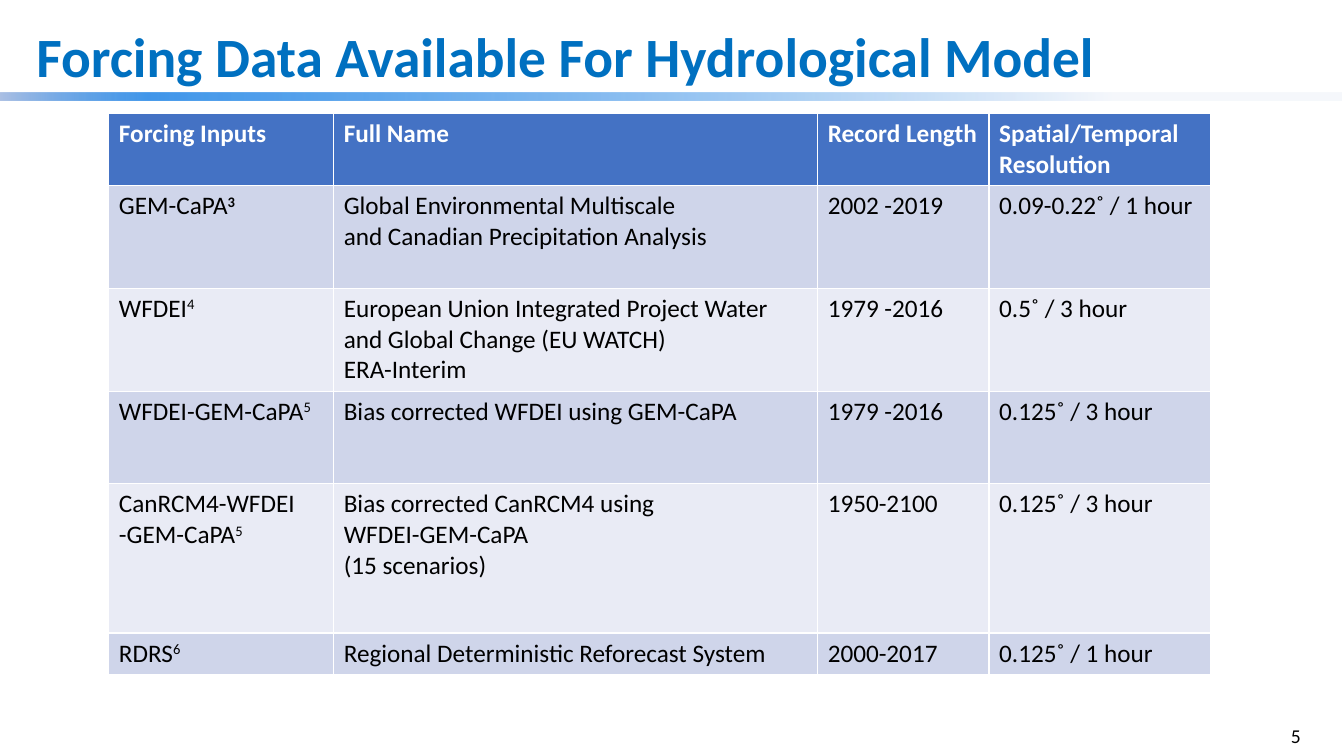
"""Build the slide that lists forcing data for a hydrological model."""
from dataclasses import dataclass

from lxml import etree
from pptx import Presentation
from pptx.dml.color import RGBColor
from pptx.enum.shapes import MSO_SHAPE
from pptx.enum.text import MSO_ANCHOR, MSO_AUTO_SIZE, PP_ALIGN
from pptx.oxml.ns import qn
from pptx.util import Inches, Pt

RECTANGLE = MSO_SHAPE.RECTANGLE
MIDDLE = MSO_ANCHOR.MIDDLE
NO_AUTOFIT = MSO_AUTO_SIZE.NONE
LEFT, RIGHT = PP_ALIGN.LEFT, PP_ALIGN.RIGHT


@dataclass(frozen=True)
class Theme:
    """Colours, font and type sizes of the slide."""
    font: str = "Calibri"
    title: str = "0070C0"
    header: str = "4472C4"
    bands: tuple = ("CFD5EA", "E9EBF5")
    light: str = "FFFFFF"
    dark: str = "000000"
    bar: tuple = ((17, "F6F8FC", 100), (89, "0073E3", 74),
                  (100, "ABC0E4", 100), (100, "C7D5ED", 100))
    title_size: float = 39.6
    table_size: float = 18
    number_size: float = 14


@dataclass(frozen=True)
class Forcing:
    """One data set; lines of a cell are split at line breaks."""
    name: str
    reference: str
    full_name: str
    record: str
    resolution: str
    height: float
    bold_reference: bool = False


THEME = Theme()
HEADINGS = ("Forcing Inputs", "Full Name", "Record Length", "Spatial/Temporal Resolution")
HEADER_HEIGHT = 0.7
COLUMN_WIDTHS = (2.23, 4.8, 1.7, 2.2)
FORCINGS = (
    Forcing("GEM-CaPA", "3",
            "Global Environmental Multiscale\nand Canadian Precipitation Analysis",
            "2002 -2019", "0.09-0.22˚ / 1 hour", 1.02, True),
    Forcing("WFDEI", "4",
            "European Union Integrated Project Water\n"
            "and Global Change (EU WATCH)\nERA-Interim",
            "1979 -2016", "0.5˚ / 3 hour", 1.02),
    Forcing("WFDEI-GEM-CaPA", "5", "Bias corrected WFDEI using GEM-CaPA",
            "1979 -2016", "0.125˚ / 3 hour", 0.92),
    Forcing("CanRCM4-WFDEI\n-GEM-CaPA", "5",
            "Bias corrected CanRCM4 using\nWFDEI-GEM-CaPA\n(15 scenarios)",
            "1950-2100", "0.125˚ / 3 hour", 1.48),
    Forcing("RDRS", "6", "Regional Deterministic Reforecast System",
            "2000-2017", "0.125˚ / 1 hour", 0.41),
)


def style_paragraph(para, size: float, color: str, bold: bool = False, align=LEFT) -> None:
    """Set the alignment and font of a paragraph."""
    para.alignment = align
    para.font.name = THEME.font
    para.font.size = Pt(size)
    para.font.bold = bold
    para.font.color.rgb = RGBColor.from_string(color)


def add_bar(page) -> None:
    """Draw the gradient bar under the title."""
    bar = page.shapes.add_shape(RECTANGLE, 0, Inches(0.92), Inches(13.31), Inches(0.08))
    bar.shadow.inherit = False
    bar.line.fill.background()
    bar.fill.gradient()
    bar.fill.gradient_angle = 180
    stops = bar._element.spPr.find(qn("a:gradFill")).find(qn("a:gsLst"))
    for stop in list(stops):
        stops.remove(stop)
    for position, color, opacity in THEME.bar:
        stop = etree.SubElement(stops, qn("a:gs"), pos=str(position * 1000))
        shade = etree.SubElement(stop, qn("a:srgbClr"), val=color)
        if opacity < 100:
            etree.SubElement(shade, qn("a:alpha"), val=str(opacity * 1000))


def add_title(page, text: str) -> None:
    """Move, fill and format the title placeholder."""
    title = page.shapes.title
    title.left, title.top = Inches(0.26), Inches(0.29)
    title.width, title.height = Inches(12.36), Inches(0.61)
    frame = title.text_frame
    frame.text = text
    frame.auto_size = NO_AUTOFIT
    frame.vertical_anchor = MIDDLE
    para = frame.paragraphs[0]
    para.line_spacing = 0.9
    style_paragraph(para, THEME.title_size, THEME.title, bold=True)


def fill_cell(cell, text: str, fill: str, color: str, bold: bool = False) -> None:
    """Write and colour one table cell."""
    cell.fill.solid()
    cell.fill.fore_color.rgb = RGBColor.from_string(fill)
    cell.text = text
    for para in cell.text_frame.paragraphs:
        style_paragraph(para, THEME.table_size, color, bold)


def add_reference(cell, forcing: Forcing) -> None:
    """Append the superscript reference number to a name."""
    span = cell.text_frame.paragraphs[-1].add_run()
    span.text = forcing.reference
    if forcing.bold_reference:
        span.font.bold = True
    span._r.get_or_add_rPr().set("baseline", "30000")


def add_forcing_table(page) -> None:
    """Add the table of forcing inputs."""
    heights = [HEADER_HEIGHT] + [forcing.height for forcing in FORCINGS]
    table = page.shapes.add_table(
        len(heights), len(HEADINGS), Inches(1.08), Inches(1.13),
        Inches(sum(COLUMN_WIDTHS)), Inches(sum(heights))).table
    for column, width in zip(table.columns, COLUMN_WIDTHS):
        column.width = Inches(width)
    for row, height in zip(table.rows, heights):
        row.height = Inches(height)
    for cell, heading in zip(table.rows[0].cells, HEADINGS):
        fill_cell(cell, heading, THEME.header, THEME.light, bold=True)
    for index, forcing in enumerate(FORCINGS):
        texts = (forcing.name, forcing.full_name, forcing.record, forcing.resolution)
        band = THEME.bands[index % len(THEME.bands)]
        for cell, text in zip(table.rows[index + 1].cells, texts):
            fill_cell(cell, text, band, THEME.dark)
        add_reference(table.cell(index + 1, 0), forcing)


def add_page_number(page, number: str) -> None:
    """Write the page number at the lower right."""
    box = page.shapes.add_textbox(Inches(10), Inches(7.1), Inches(3), Inches(0.4))
    frame = box.text_frame
    frame.word_wrap = True
    frame.vertical_anchor = MIDDLE
    frame.text = number
    style_paragraph(frame.paragraphs[0], THEME.number_size, THEME.dark, align=RIGHT)


def main() -> None:
    """Build and save the deck."""
    deck = Presentation()
    deck.slide_width, deck.slide_height = Inches(13.33), Inches(7.5)
    page = deck.slides.add_slide(deck.slide_layouts[5])
    add_bar(page)
    add_title(page, "Forcing Data Available For Hydrological Model")
    add_forcing_table(page)
    add_page_number(page, "5")
    deck.save("out.pptx")


if __name__ == "__main__":
    main()
